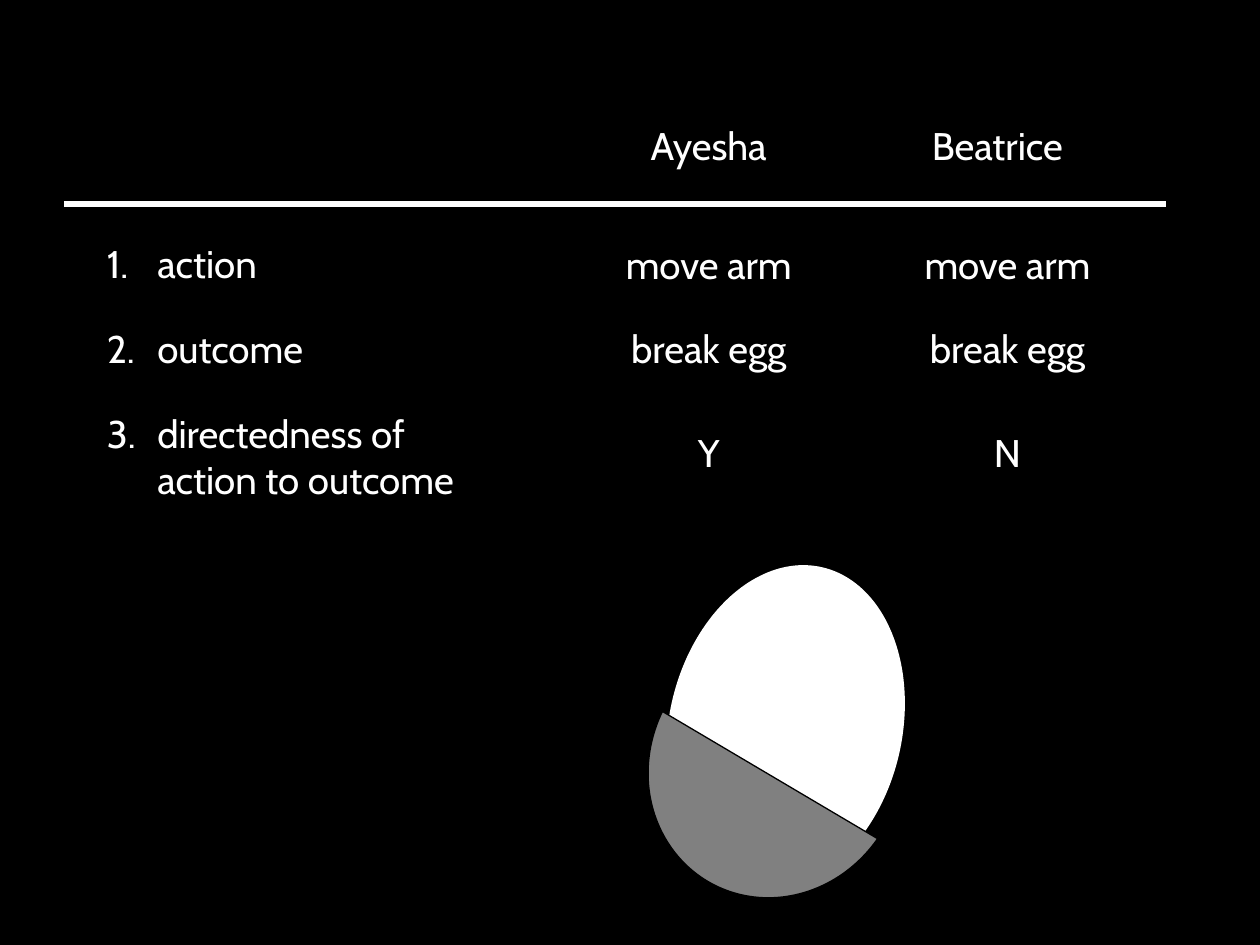
from lxml.etree import SubElement
from pptx import Presentation
from pptx.dml.color import RGBColor
from pptx.enum.shapes import MSO_CONNECTOR, MSO_SHAPE
from pptx.enum.text import MSO_AUTO_SIZE, PP_ALIGN
from pptx.oxml.ns import qn
from pptx.util import Pt

BLACK = RGBColor(0x00, 0x00, 0x00)
WHITE = RGBColor(0xFF, 0xFF, 0xFF)
GREY = RGBColor(0x80, 0x80, 0x80)
FONT, SIZE, GAP = "Cabin", 22, 22

FEATURES = ["1.\taction", "2.\toutcome", "3.\tdirectedness of action to outcome"]
# name, left of the name, left of the answers, answers
AGENTS = [
    ("Ayesha", 342.7, 342.7, ["move arm", "break egg", "Y"]),
    ("Beatrice", 507.6, 513.4, ["move arm", "break egg", "N"]),
]
HEADER_TOP, HEADER_HEIGHT = 66.2, 34
BODY_TOP, RULE_Y = 133.9, 116.6
FEATURE_LEFT, FEATURE_WIDTH, FEATURE_HEIGHT = 54, 221, 158.4
AGENT_WIDTH, ANSWER_HEIGHT = 124.6, 143.3


def add_text(slide, lines, left, top, width, height, *,
             align=PP_ALIGN.LEFT, hanging=0, last_before=0):
    """Add one paragraph per line, with an optional hanging indent."""
    box = slide.shapes.add_textbox(Pt(left), Pt(top), Pt(width), Pt(height))
    frame = box.text_frame
    frame.word_wrap = True
    frame.auto_size = MSO_AUTO_SIZE.SHAPE_TO_FIT_TEXT
    for index, line in enumerate(lines):
        paragraph = frame.paragraphs[0] if index == 0 else frame.add_paragraph()
        paragraph.alignment = align
        paragraph.space_after = Pt(GAP)
        if hanging:
            properties = paragraph._p.get_or_add_pPr()
            properties.set("marL", str(Pt(hanging)))
            properties.set("indent", str(Pt(-hanging)))
        run = paragraph.add_run()
        run.text = line
        run.font.name = FONT
        run.font.size = Pt(SIZE)
        run.font.color.rgb = WHITE
    if last_before:
        paragraph.space_before = Pt(last_before)


def add_egg_part(slide, kind, left, top, width, height, rotation, fill, outline=None):
    """Add one rotated part of the egg and return it."""
    part = slide.shapes.add_shape(kind, Pt(left), Pt(top), Pt(width), Pt(height))
    part.rotation = rotation
    part.shadow.inherit = False
    part.fill.solid()
    part.fill.fore_color.rgb = fill
    if outline is None:
        part.line.fill.background()
    else:
        part.line.color.rgb = outline
        part.line.width = Pt(0.75)
    return part


def add_rule(slide, left, right, y):
    """Add the line below the header."""
    rule = slide.shapes.add_connector(
        MSO_CONNECTOR.STRAIGHT, Pt(left), Pt(y), Pt(right), Pt(y))
    rule.line.color.rgb = WHITE
    rule.line.width = Pt(3)
    SubElement(rule._element.spPr, qn("a:effectLst"))


presentation = Presentation()
presentation.slide_width, presentation.slide_height = Pt(720), Pt(540)
slide = presentation.slides.add_slide(presentation.slide_layouts[6])
slide.background.fill.solid()
slide.background.fill.fore_color.rgb = BLACK

add_text(slide, FEATURES, FEATURE_LEFT, BODY_TOP, FEATURE_WIDTH, FEATURE_HEIGHT,
         hanging=28.8)
for name, name_left, answer_left, answers in AGENTS:
    add_text(slide, answers, answer_left, BODY_TOP, AGENT_WIDTH, ANSWER_HEIGHT,
             align=PP_ALIGN.CENTER, last_before=GAP / 2)
    add_text(slide, [name], name_left, HEADER_TOP, AGENT_WIDTH, HEADER_HEIGHT,
             align=PP_ALIGN.CENTER)
add_rule(slide, 36.7, 666, RULE_Y)

add_egg_part(slide, MSO_SHAPE.OVAL, 382.3, 321.8, 133.2, 187.9, 12.7, WHITE)
cup = add_egg_part(slide, MSO_SHAPE.CHORD, 366.5, 365.8, 153.4, 143.3, 298.8, GREY, BLACK)
cup.adjustments[0], cup.adjustments[1] = 58.11, 160.05

presentation.save("out.pptx")
